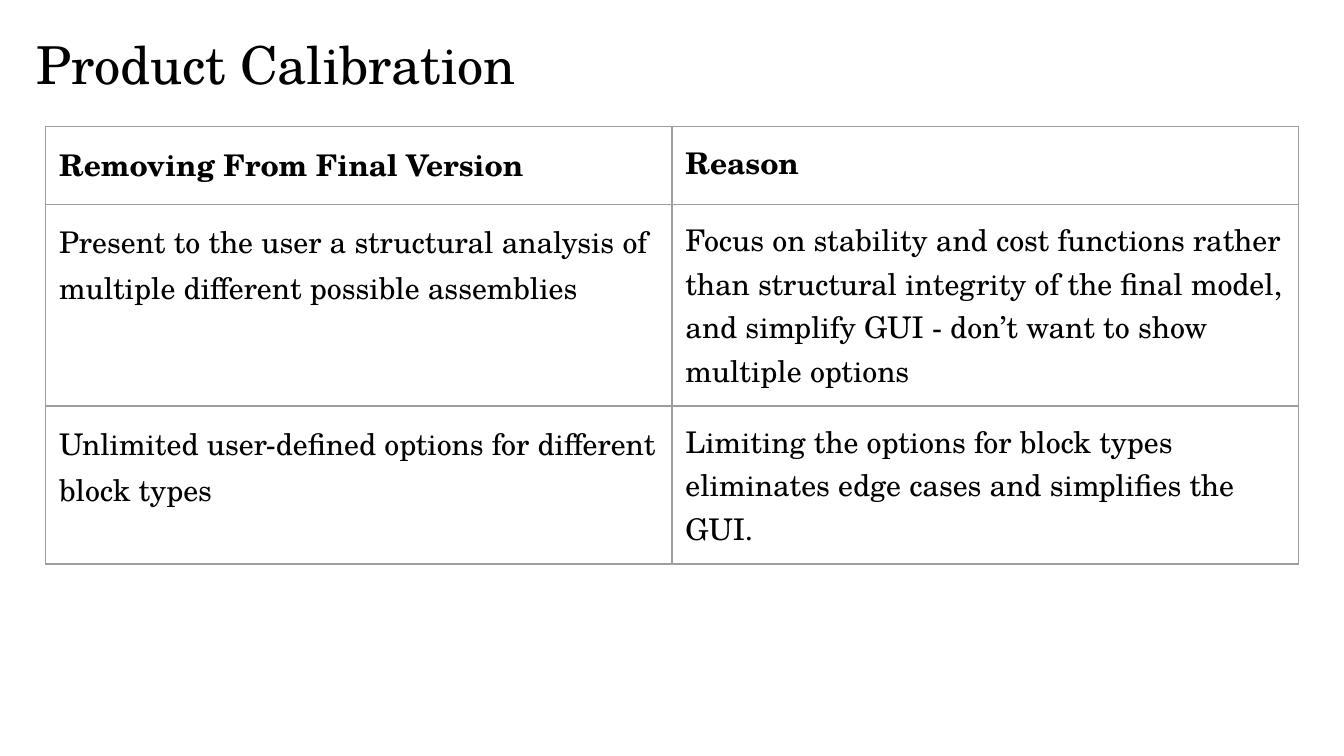
from lxml import etree
from pptx import Presentation
from pptx import util as u
from pptx.dml import color
from pptx.enum import text
from pptx.oxml import ns


def format_span(span, size, bold=False, hue="000000"):
    span.font.name = "TeX Gyre Schola"
    span.font.size = u.Pt(size)
    span.font.bold = bold
    span.font.color.rgb = color.RGBColor.from_string(hue)


def add_borders(cell, hue, width):
    properties = cell._tc.get_or_add_tcPr()
    for index, side in enumerate(("lnL", "lnR", "lnT", "lnB")):
        line = etree.Element(ns.qn(f"a:{side}"), w=str(u.Pt(width)))
        fill = etree.SubElement(line, ns.qn("a:solidFill"))
        etree.SubElement(fill, ns.qn("a:srgbClr"), val=hue)
        properties.insert(index, line)


rows = [
    ("Removing From Final Version", "Reason"),
    ("Present to the user a structural analysis of multiple different possible assemblies",
     "Focus on stability and cost functions rather than structural integrity of the final model, "
     "and simplify GUI - don’t want to show multiple options"),
    ("Unlimited user-defined options for different block types",
     "Limiting the options for block types eliminates edge cases and simplifies the GUI."),
]
row_heights = [0.58, 0.99, 0.95]
column_width = 4.66
inset = u.Inches(0.1)

deck = Presentation()
deck.slide_width = u.Inches(10)
deck.slide_height = deck.slide_width * 9 // 16
page = deck.slides.add_slide(deck.slide_layouts[5])

title = page.shapes.title
title.left, title.top = u.Inches(0.17), u.Inches(0.19)
title.width, title.height = u.Inches(9.32), u.Inches(0.63)
frame = title.text_frame
frame.text = "Product Calibration"
frame.margin_left = frame.margin_right = frame.margin_top = frame.margin_bottom = inset
frame.vertical_anchor = text.MSO_ANCHOR.TOP
frame.auto_size = text.MSO_AUTO_SIZE.NONE
para = frame.paragraphs[0]
para.alignment = text.PP_ALIGN.LEFT
para.line_spacing = 0.9
format_span(para.runs[0], 28)

table = page.shapes.add_table(
    len(rows), 2, u.Inches(0.34), u.Inches(0.94),
    u.Inches(2 * column_width), u.Inches(sum(row_heights))).table
table.first_row = False
table.horz_banding = False
for column in table.columns:
    column.width = u.Inches(column_width)

for row_index, (row, height) in enumerate(zip(rows, row_heights)):
    table.rows[row_index].height = u.Inches(height)
    for column_index, words in enumerate(row):
        cell = table.cell(row_index, column_index)
        cell.text_frame.text = words
        cell.margin_left = cell.margin_right = cell.margin_top = cell.margin_bottom = inset
        cell.fill.background()
        add_borders(cell, "9E9E9E", 0.75)
        para = cell.text_frame.paragraphs[0]
        if column_index == 0:
            para.line_spacing = 1.05
            para.space_after = u.Pt(10)
        format_span(para.runs[0], 16, bold=row_index == 0)

deck.save("out.pptx")
